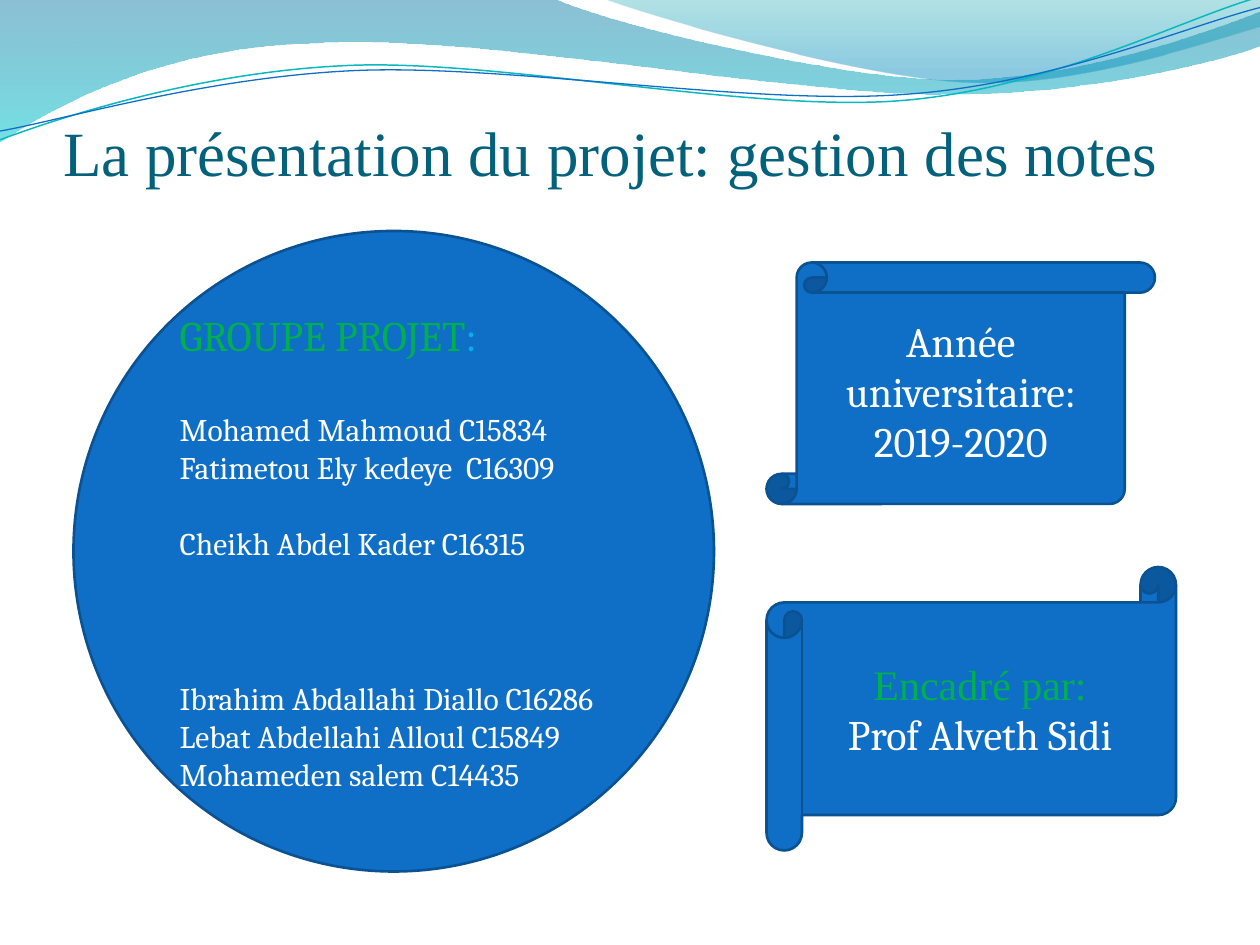
"""Build the project presentation slide with a wave banner, a group circle and two scrolls."""
import math
import pptx
import pptx.util
import pptx.dml.color
import pptx.enum.shapes
import pptx.enum.text
import pptx.oxml.ns
from lxml import etree

Pt = pptx.util.Pt
qn = pptx.oxml.ns.qn
ALIGN = pptx.enum.text.PP_ALIGN
ANCHOR = pptx.enum.text.MSO_ANCHOR
SHAPE = pptx.enum.shapes.MSO_SHAPE
COLORS = {
    "title": "04617B", "blue": "0F6FC6", "edge": "0B5292", "white": "FFFFFF",
    "green": "00B050", "sky": "00B0F0", "teal": "0AB8BF",
    "wave_top": "0074A1", "wave_end": "00C6CF", "crest_top": "00A1A9", "crest_end": "008BBF",
}
SERIF, TIMES = "Cambria", "Times New Roman"


def color(name):
    return pptx.dml.color.RGBColor.from_string(COLORS[name])


def add_run(para, text, size, font, tint):
    run = para.add_run()
    run.text = text
    run.font.size = Pt(size)
    run.font.name = font
    run.font.color.rgb = color(tint)


deck = pptx.Presentation()
deck.slide_width, deck.slide_height = Pt(720), Pt(540)
page = deck.slides.add_slide(deck.slide_layouts[5])
shapes = page.shapes

waves = [
    {"box": (-0.7, -0.7, 721.4, 82.1), "start": (0, 0), "turn": 0,
     "stops": [("wave_top", 0, 45), ("wave_end", 1, 55)], "parts": [
        (316.8, -0.7), (342.7, 12.2, 478.1, 45.4, 545.8, 45.4),
        (614.2, 45.4, 689.8, 18.7, 720, 6.5), (720.7, 25.9),
        (707.8, 31.7, 626.4, 54.7, 537.1, 54), (447.8, 54, 275, 20.2, 185, 24.5),
        (92.9, 25.9, 33.1, 59.8, -0.7, 81.4)]},
    {"box": (344.9, -0.7, 375.1, 50.4), "start": (344.9, -0.7), "turn": 0,
     "stops": [("crest_top", 0, 30), ("crest_end", 0.8, 45)], "parts": [
        (366.5, 7.9, 491, 44.6, 553.7, 46.8), (616.3, 49.7, 691.9, 23, 720, 15.1), (720, 0)]},
    {"box": (-1.4, 15.8, 721.4, 51.1), "start": (0, 79.9), "turn": -2.7,
     "line": ("teal", 0.85), "parts": [
        (34.6, 67, 113.8, 41, 199.4, 37.4), (284.4, 33.8, 427, 64.1, 513.4, 57.6),
        (599.8, 51.1, 675.4, 10.8, 718.6, -1.4)]},
    {"box": (-1.4, 21.6, 722.2, 41.8), "start": (0, 74.9), "turn": -2.7,
     "line": ("blue", 0.75), "parts": [
        (33.8, 69.1, 118.1, 43.9, 203.8, 40.3), (290.2, 36.7, 429.8, 60.5, 516.2, 54),
        (601.9, 48.2, 677.5, 15.1, 720, 4.3)]},
]
for wave in waves:
    left, top, width, height = wave["box"]
    builder = shapes.build_freeform(Pt(left), Pt(top))
    builder.add_line_segments([(Pt(left + width), Pt(top + height))], close=False)
    band = builder.convert_to_shape()
    band.shadow.inherit = False
    band.left, band.top, band.width, band.height = map(Pt, wave["box"])
    band.rotation = wave["turn"] % 360
    outline = next(band._element.iter(qn("a:path")))
    for node in list(outline):
        outline.remove(node)
    outline.set("w", str(Pt(width)))
    outline.set("h", str(Pt(height)))
    angle = math.radians(-wave["turn"])
    middle_x, middle_y = left + width / 2, top + height / 2
    for index, part in enumerate([wave["start"]] + wave["parts"]):
        tag = "a:moveTo" if index == 0 else "a:lnTo" if len(part) == 2 else "a:cubicBezTo"
        segment = etree.SubElement(outline, qn(tag))
        for x, y in zip(part[::2], part[1::2]):
            dx, dy = x - middle_x, y - middle_y
            point = etree.SubElement(segment, qn("a:pt"))
            point.set("x", str(Pt(dx * math.cos(angle) - dy * math.sin(angle) + width / 2)))
            point.set("y", str(Pt(dx * math.sin(angle) + dy * math.cos(angle) + height / 2)))
    if "line" in wave:
        tint, weight = wave["line"]
        band.fill.background()
        band.line.color.rgb = color(tint)
        band.line.width = Pt(weight)
        continue
    etree.SubElement(outline, qn("a:close"))
    band.line.fill.background()
    band.fill.gradient()
    band.fill.gradient_angle = 270
    for stop, (tint, position, opacity) in zip(band.fill.gradient_stops, wave["stops"]):
        stop.color.rgb = color(tint)
        stop.position = position
    tints = band.fill._xPr.iter(qn("a:srgbClr"))
    for node, (tint, position, opacity) in zip(tints, wave["stops"]):
        etree.SubElement(node, qn("a:alpha")).set("val", str(opacity * 1000))

title = shapes.title
shapes._spTree.append(title._element)
title.left, title.top, title.width, title.height = Pt(36), Pt(55.4), Pt(648), Pt(52.6)
frame = title.text_frame
frame.margin_left = frame.margin_right = frame.margin_bottom = 0
frame.margin_top = Pt(3.6)
frame.vertical_anchor = ANCHOR.BOTTOM
frame.auto_size = pptx.enum.text.MSO_AUTO_SIZE.NONE
frame.paragraphs[0].alignment = ALIGN.LEFT
add_run(frame.paragraphs[0], "La présentation du projet: gestion des notes", 36, TIMES, "title")

members = [
    ("Mohamed Mahmoud C15834", 28.4), ("Fatimetou Ely kedeye  C16309", 0),
    ("Cheikh Abdel Kader C16315", 22), ("Ibrahim Abdallahi Diallo C16286", 67),
    ("Lebat Abdellahi Alloul C15849", 0), ("Mohameden salem C14435", 0),
]
group_text = [(0, [("GROUPE PROJET", 24, SERIF, "green"), (":", 24, SERIF, "sky")])]
group_text += [(gap, [(name, 18, SERIF, "white")]) for name, gap in members]
panels = [
    (SHAPE.OVAL, (42, 132, 366, 366), ALIGN.LEFT, group_text),
    (SHAPE.HORIZONTAL_SCROLL, (438, 324, 234, 162), ALIGN.CENTER, [
        (0, [("Encadré par:", 24, TIMES, "green")]),
        (0, [("Prof Alveth Sidi", 24, SERIF, "white")])]),
    (SHAPE.VERTICAL_SCROLL, (438, 150, 222, 138), ALIGN.CENTER, [
        (0, [("Année universitaire: 2019-2020", 24, SERIF, "white")])]),
]
for kind, place, align, lines in panels:
    panel = shapes.add_shape(kind, *map(Pt, place))
    panel.shadow.inherit = False
    panel.fill.solid()
    panel.fill.fore_color.rgb = color("blue")
    panel.line.color.rgb = color("edge")
    panel.line.width = Pt(1.5)
    frame = panel.text_frame
    frame.word_wrap = True
    frame.vertical_anchor = ANCHOR.MIDDLE
    for index, (gap, runs) in enumerate(lines):
        para = frame.add_paragraph() if index else frame.paragraphs[0]
        para.alignment = align
        para.space_before = Pt(gap)
        for run in runs:
            add_run(para, *run)

deck.save("out.pptx")
